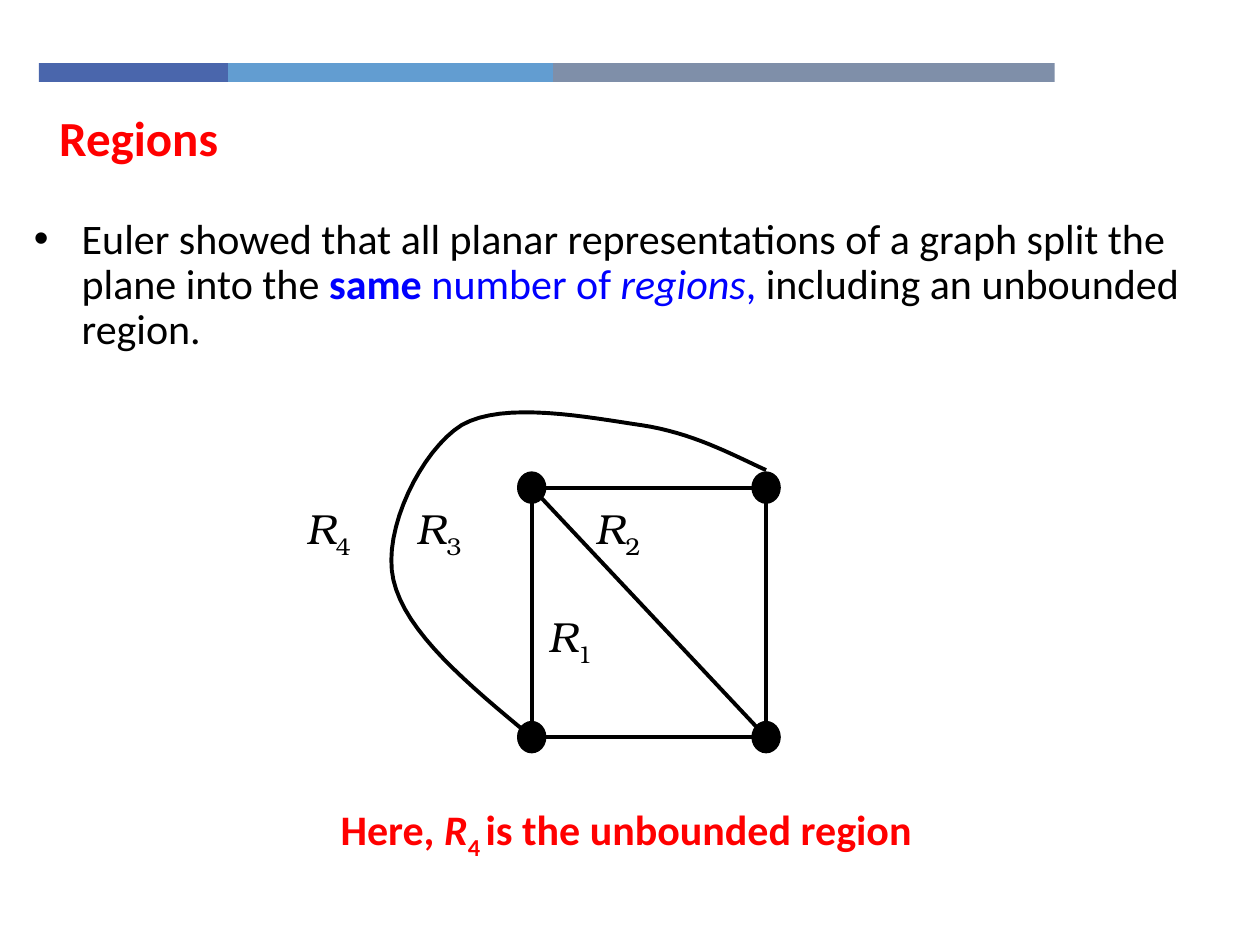
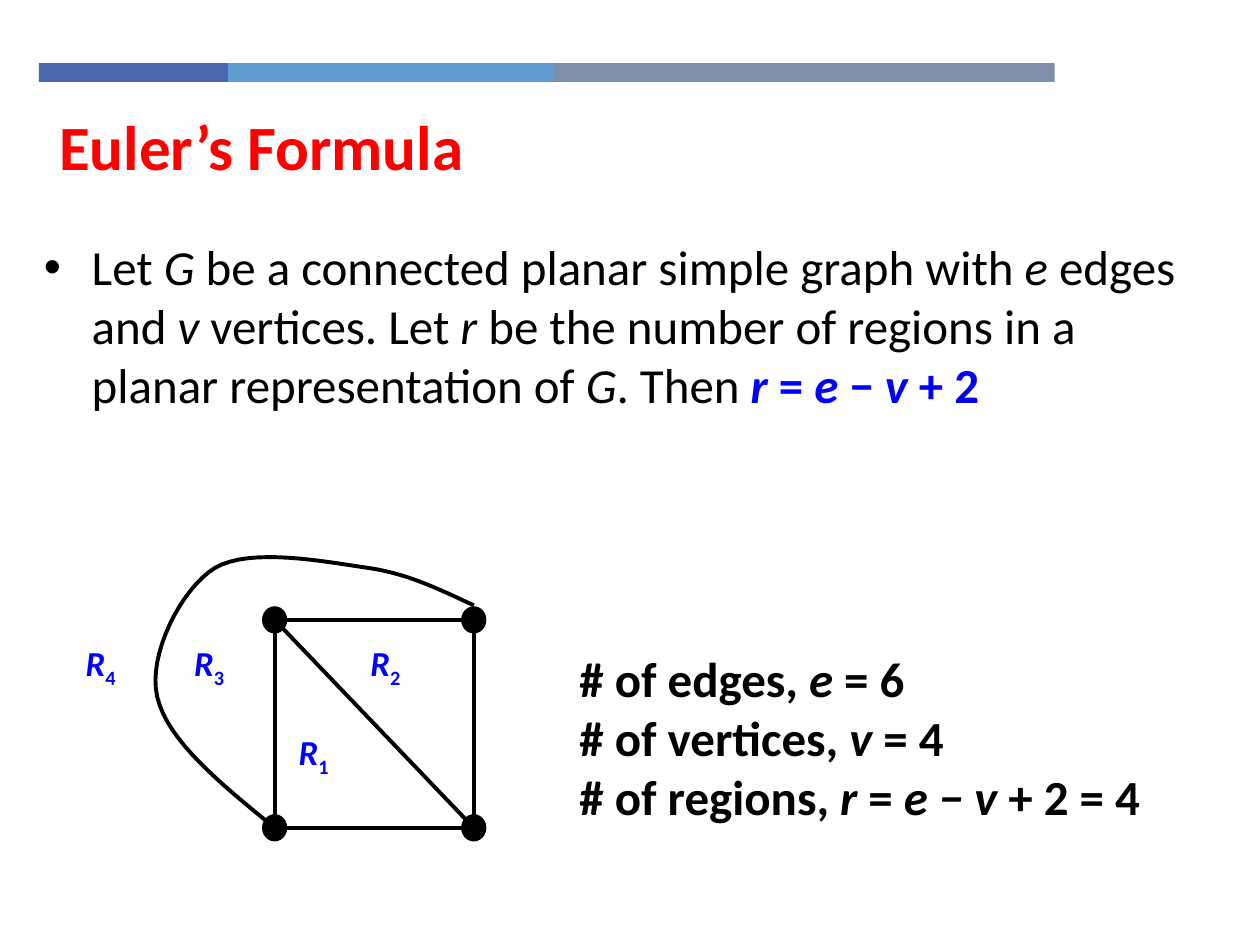
import pptx
import pptx.dml.color
import pptx.enum.shapes
import pptx.enum.text
import pptx.oxml
import pptx.oxml.ns
import pptx.util

Inches = pptx.util.Inches
SHAPE = pptx.enum.shapes.MSO_SHAPE
ALIGN = pptx.enum.text.PP_ALIGN

# Shared look
BLACK, RED, BLUE = "000000", "FF0000", "0000FF"
BODY_FONT, MATH_FONT = "Calibri", "TeX Gyre Bonum"
BAND_LEFT, BAND_TOP, BAND_HEIGHT = 0.31, 0.5, 0.15
BANDS = [(1.5, "4A66AC"), (2.58, "629DD1"), (3.98, "7F8FA9")]
TITLE_AREA = (0.37, 0.8, 7.16, 0.54)
BULLET_INDENT = 0.38

# Span formats
ITALIC = {"italic": True}
BOLD = {"bold": True}
KEY = {"color": BLUE}
KEY_BOLD = {**KEY, **BOLD}
SUBSCRIPT = {"baseline": -25000}

# Outer edge as cubic Bezier points, in fractions of the square's sides
OUTER_EDGE = [
    (1, -0.07),
    (0.84, -0.14), (0.68, -0.22), (0.47, -0.25),
    (0.25, -0.28), (-0.12, -0.35), (-0.3, -0.25),
    (-0.47, -0.15), (-0.64, 0.17), (-0.59, 0.37),
    (-0.54, 0.58), (-0.27, 0.79), (0, 1),
]
CURVE_STEPS = 16


def rgb(code):
    return pptx.dml.color.RGBColor.from_string(code)


def lengths(area):
    return [Inches(value) for value in area]


def add_span(para, text, style):
    """Add one run; style maps font attributes to values."""
    span = para.add_run()
    span.text = text
    for name, value in style.items():
        if name == "color":
            span.font.color.rgb = rgb(value)
        elif name == "baseline":
            span._r.get_or_add_rPr().set("baseline", str(value))
        else:
            setattr(span.font, name, value)


def fill_text(frame, paragraphs, size, font=BODY_FONT, wrap=True, inset=0.1, **style):
    """Write paragraphs of (text, format) spans on top of a common style."""
    settings = {
        "word_wrap": wrap,
        "auto_size": pptx.enum.text.MSO_AUTO_SIZE.NONE,
        "vertical_anchor": pptx.enum.text.MSO_ANCHOR.TOP,
        "margin_left": Inches(inset),
        "margin_right": Inches(inset),
        "margin_top": Inches(0.05),
        "margin_bottom": Inches(0.05),
    }
    for name, value in settings.items():
        setattr(frame, name, value)
    base = {"name": font, "size": pptx.util.Pt(size), "color": BLACK, **style}
    for index, spans in enumerate(paragraphs):
        para = frame.add_paragraph() if index else frame.paragraphs[0]
        for text, extra in spans:
            add_span(para, text, {**base, **extra})


def add_text(shapes, area, paragraphs, size, align=ALIGN.LEFT, **options):
    box = shapes.add_textbox(*lengths(area))
    fill_text(box.text_frame, paragraphs, size, **options)
    for para in box.text_frame.paragraphs:
        para.alignment = align
    return box


def add_bullet(page, area, spans, size, line_spacing=1.0):
    box = add_text(page.shapes, area, [spans], size)
    para = box.text_frame.paragraphs[0]
    para.line_spacing = line_spacing
    para.space_before = pptx.util.Pt(0.2 * size)
    properties = para._p.get_or_add_pPr()
    properties.set("marL", str(Inches(BULLET_INDENT)))
    properties.set("indent", str(-Inches(BULLET_INDENT)))
    namespace = pptx.oxml.ns.nsdecls("a")
    properties.append(pptx.oxml.parse_xml(f'<a:buFont {namespace} typeface="Arial"/>'))
    properties.append(pptx.oxml.parse_xml(f'<a:buChar {namespace} char="•"/>'))


def add_figure(shapes, kind, area, fill=None, line=None, width=0.75):
    shape = shapes.add_shape(kind, *lengths(area))
    style_figure(shape, fill, line, width)
    return shape


def style_figure(shape, fill, line, width):
    shape.shadow.inherit = False
    if fill:
        shape.fill.solid()
        shape.fill.fore_color.rgb = rgb(fill)
    else:
        shape.fill.background()
    if line:
        shape.line.color.rgb = rgb(line)
        shape.line.width = pptx.util.Pt(width)
    else:
        shape.line.fill.background()


def add_edge(shapes, start, end):
    edge = shapes.add_connector(
        pptx.enum.shapes.MSO_CONNECTOR.STRAIGHT, *lengths(start + end))
    edge.line.color.rgb = rgb(BLACK)
    edge.line.width = pptx.util.Pt(2.25)
    edge._element.spPr.append(
        pptx.oxml.parse_xml(f'<a:effectLst {pptx.oxml.ns.nsdecls("a")}/>'))


def curve_points(controls):
    """Sample a chain of cubic Bezier segments."""
    points = [controls[0]]
    for first in range(0, len(controls) - 1, 3):
        segment = controls[first:first + 4]
        for step in range(1, CURVE_STEPS + 1):
            t = step / CURVE_STEPS
            weights = ((1 - t) ** 3, 3 * t * (1 - t) ** 2, 3 * t * t * (1 - t), t ** 3)
            points.append(tuple(
                sum(weight * point[axis] for weight, point in zip(weights, segment))
                for axis in (0, 1)))
    return points


def add_planar_graph(page, square, labels, **label_style):
    """Draw the four-vertex graph on a square and label its regions."""
    left, top, width, height = square
    shapes = page.shapes.add_group_shape().shapes

    # Edges
    add_figure(shapes, SHAPE.RECTANGLE, square, line=BLACK, width=2.25)
    add_edge(shapes, (left, top), (left + width, top + height))

    # Vertices
    node_width, node_height = 0.12 * width, height / 8
    for x in (left, left + width):
        for y in (top, top + height):
            area = (x - node_width / 2, y - node_height / 2, node_width, node_height)
            add_figure(shapes, SHAPE.OVAL, area, fill=BLACK, line=BLACK)

    # Outer edge
    points = [(Inches(left + x * width), Inches(top + y * height))
              for x, y in curve_points(OUTER_EDGE)]
    builder = shapes.build_freeform(*points[0])
    builder.add_line_segments(points[1:], close=False)
    style_figure(builder.convert_to_shape(), None, BLACK, 2.25)

    # Region labels
    for number, (x, y) in labels.items():
        add_text(shapes, (x, y, 0.5, 0.5), [[("R", ITALIC), (number, SUBSCRIPT)]],
                 wrap=False, inset=0, **label_style)


def add_bands(page):
    """Put the colour bands on the layout that all pages share."""
    left = BAND_LEFT
    for width, color in BANDS:
        band = add_figure(page.shapes, SHAPE.RECTANGLE,
                          (left, BAND_TOP, width, BAND_HEIGHT), fill=color)
        page.slide_layout.shapes.element.append(band.element)
        left += width


def add_page(deck, title, size):
    page = deck.slides.add_slide(deck.slide_layouts[5])
    heading = page.shapes.title
    heading.left, heading.top, heading.width, heading.height = lengths(TITLE_AREA)
    fill_text(heading.text_frame, [[(title, BOLD)]], size, color=RED)
    para = heading.text_frame.paragraphs[0]
    para.alignment = ALIGN.LEFT
    para.space_before = pptx.util.Pt(20)
    return page


def build_regions(deck):
    page = add_page(deck, "Regions", 28)
    add_bands(page)
    add_bullet(page, (0.17, 1.68, 9.75, 1.24), [
        ("Euler showed that all planar representations of a graph split the plane into the ", {}),
        ("same", KEY_BOLD),
        (" number of ", KEY),
        ("regions", {**KEY, **ITALIC}),
        (",", KEY),
        (" including an unbounded region.", {}),
    ], 24, line_spacing=0.9)
    add_planar_graph(
        page, (4.22, 3.87, 1.86, 1.98),
        {"4": (2.43, 3.94), "3": (3.31, 3.94), "2": (4.73, 3.94), "1": (4.35, 4.8)},
        size=24, font=MATH_FONT)
    add_text(page.shapes, (2.57, 6.33, 4.8, 0.5), [[
        ("Here, ", {}), ("R", ITALIC), ("4 ", SUBSCRIPT),
        ("is the unbounded region", {}),
    ]], 24, align=ALIGN.CENTER, wrap=False, color=RED, bold=True)


def build_formula(deck):
    page = add_page(deck, "Euler’s Formula", 36)
    key_italic = {**KEY_BOLD, **ITALIC}
    add_bullet(page, (0.25, 1.83, 9.33, 1.81), [
        ("Let ", {}), ("G", ITALIC),
        (" be a connected planar simple graph with ", {}), ("e", ITALIC),
        (" edges and ", {}), ("v", ITALIC),
        (" vertices. Let ", {}), ("r", ITALIC),
        (" be the number of regions in a planar representation of ", {}), ("G", ITALIC),
        (". Then ", {}),
        ("r", key_italic), (" = ", KEY_BOLD), ("e ", key_italic),
        ("− ", KEY_BOLD), ("v", key_italic), (" + 2", KEY_BOLD),
    ], 28)
    add_text(page.shapes, (4.5, 5.1, 5.08, 1.51), [
        [("# of edges, ", {}), ("e", ITALIC), (" = 6", {})],
        [("# of vertices, ", {}), ("v", ITALIC), (" = 4", {})],
        [("# of regions, ", {}), ("r", ITALIC), (" = ", {}),
         ("e − v", ITALIC), (" + 2 = 4", {})],
    ], 28, bold=True)
    add_planar_graph(
        page, (2.18, 4.92, 1.58, 1.65),
        {"4": (0.68, 5.04), "3": (1.54, 5.04), "2": (2.94, 5.04), "1": (2.37, 5.75)},
        size=20, color=BLUE, bold=True)


def main():
    deck = pptx.Presentation()
    deck.slide_width, deck.slide_height = Inches(10), Inches(7.5)
    build_regions(deck)
    build_formula(deck)
    deck.save("out.pptx")


if __name__ == "__main__":
    main()
